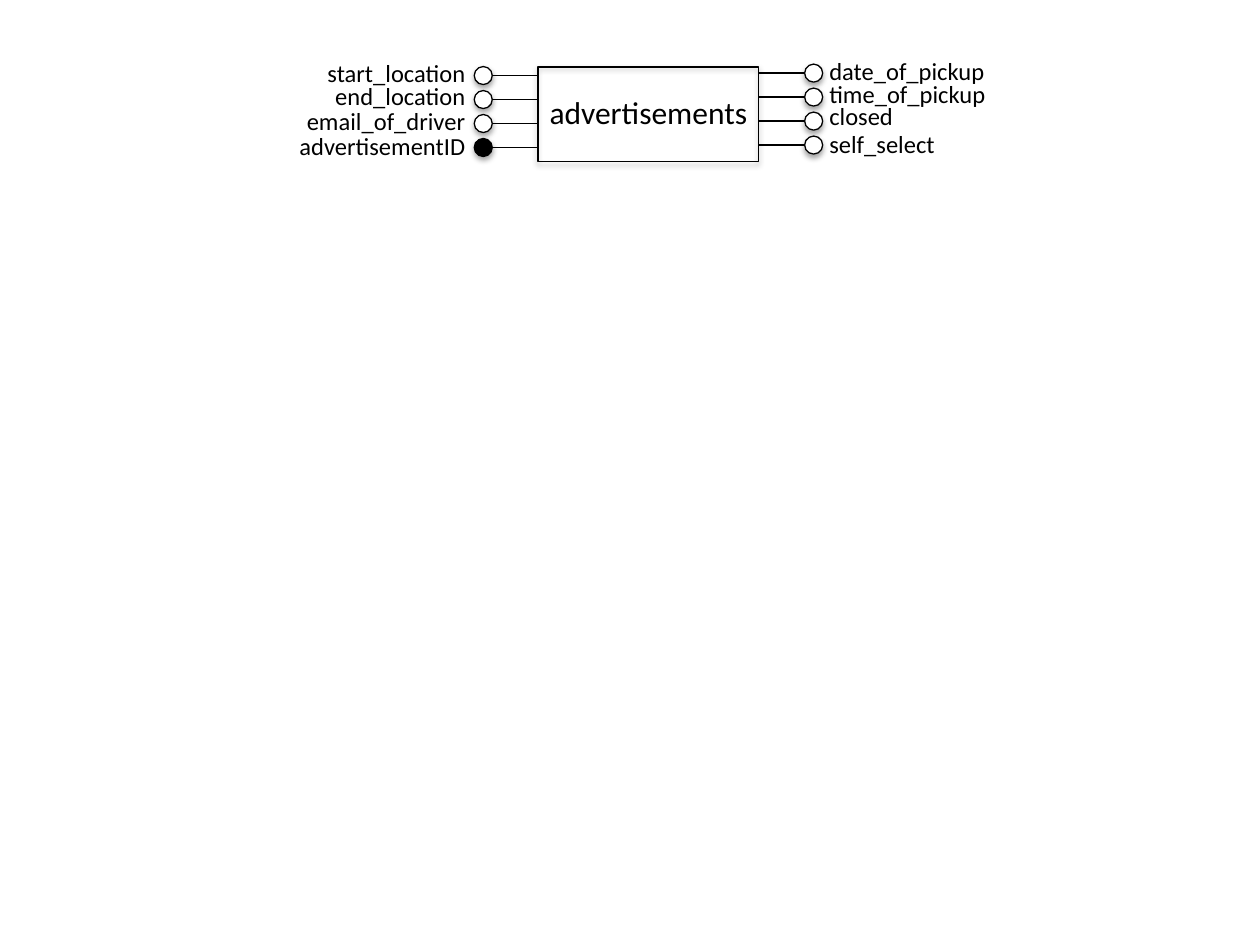
"""Draw the advertisements entity with its attributes."""
from dataclasses import dataclass

from lxml import etree
from pptx import Presentation
from pptx.dml.color import RGBColor
from pptx.enum.shapes import MSO_CONNECTOR, MSO_SHAPE
from pptx.enum.text import MSO_ANCHOR, PP_ALIGN
from pptx.oxml.ns import qn
from pptx.util import Pt

RECT, OVAL = MSO_SHAPE.RECTANGLE, MSO_SHAPE.OVAL
STRAIGHT = MSO_CONNECTOR.STRAIGHT
MIDDLE = MSO_ANCHOR.MIDDLE
LEFT, CENTER, RIGHT = PP_ALIGN.LEFT, PP_ALIGN.CENTER, PP_ALIGN.RIGHT


@dataclass(frozen=True)
class Theme:
    font: str = "Calibri"
    ink: RGBColor = RGBColor(0, 0, 0)
    paper: RGBColor = RGBColor(255, 255, 255)
    title: float = 18
    label: float = 14
    edge: float = 0.75
    wire: float = 1


@dataclass(frozen=True)
class Field:
    name: str
    top: float
    key: bool = False


@dataclass(frozen=True)
class Side:
    fields: tuple[Field, ...]
    first: float
    dot: float
    start: float
    end: float
    text: float
    align: PP_ALIGN


THEME = Theme()
BOX = (307.4, 38.2, 126, 54)
DOT = 10.3
STEP = 13.7
WIDTH, HEIGHT = 120, 24.2

SIDES = (
    Side((Field("start_location", 29.5), Field("end_location", 42.6),
          Field("email_of_driver", 56.9), Field("advertisementID", 71.1, True)),
         43.2, 271, 281.3, 307.4, 273 - WIDTH, RIGHT),
    Side((Field("date_of_pickup", 28.1), Field("time_of_pickup", 41.2),
          Field("closed", 54.2), Field("self_select", 69.9)),
         41.8, 459.8, 459.8, 433.8, 466.8, LEFT),
)


def add_shade(shape) -> None:
    """Give a shape its soft shadow."""
    shape.shadow.inherit = False
    effect = shape._element.spPr.find(qn("a:effectLst"))
    shade = etree.SubElement(effect, qn("a:outerShdw"), blurRad=str(Pt(3.1)),
                             dist=str(Pt(1.8)), dir="5400000", rotWithShape="0")
    color = etree.SubElement(shade, qn("a:srgbClr"), val=str(THEME.ink))
    etree.SubElement(color, qn("a:alpha"), val="35000")


def add_form(slide, kind: MSO_SHAPE, place: tuple, fill: RGBColor | None) -> None:
    """Draw an outlined shape."""
    shape = slide.shapes.add_shape(kind, *map(Pt, place))
    if fill is None:
        shape.fill.background()
    else:
        shape.fill.solid()
        shape.fill.fore_color.rgb = fill
    shape.line.color.rgb = THEME.ink
    shape.line.width = Pt(THEME.edge)
    add_shade(shape)


def add_wire(slide, start: float, end: float, y: float) -> None:
    """Draw a level line."""
    wire = slide.shapes.add_connector(STRAIGHT, Pt(start), Pt(y), Pt(end), Pt(y))
    wire.line.color.rgb = THEME.ink
    wire.line.width = Pt(THEME.wire)
    etree.SubElement(wire._element.spPr, qn("a:effectLst"))


def add_text(slide, text: str, place: tuple, size: float, align: PP_ALIGN) -> None:
    """Write one line of text."""
    frame = slide.shapes.add_textbox(*map(Pt, place)).text_frame
    frame.text = text
    frame.word_wrap = True
    frame.vertical_anchor = MIDDLE
    line = frame.paragraphs[0]
    line.alignment = align
    font = line.runs[0].font
    font.name, font.size = THEME.font, Pt(size)
    font.color.rgb = THEME.ink


def add_side(slide, side: Side) -> None:
    """Draw the attributes on one side of the entity."""
    for row, field in enumerate(side.fields):
        y = side.first + row * STEP
        add_wire(slide, side.start, side.end, y)
        fill = THEME.ink if field.key else THEME.paper
        add_form(slide, OVAL, (side.dot, y - DOT / 2, DOT, DOT), fill)
        add_text(slide, field.name, (side.text, field.top, WIDTH, HEIGHT),
                 THEME.label, side.align)


def main() -> None:
    """Build and save the slide."""
    deck = Presentation()
    deck.slide_width, deck.slide_height = Pt(720), Pt(540)
    slide = deck.slides.add_slide(deck.slide_layouts[6])
    add_form(slide, RECT, BOX, None)
    add_text(slide, "advertisements", (306, 49.7, 129, 29), THEME.title, CENTER)
    for side in SIDES:
        add_side(slide, side)
    deck.save("out.pptx")


main()
